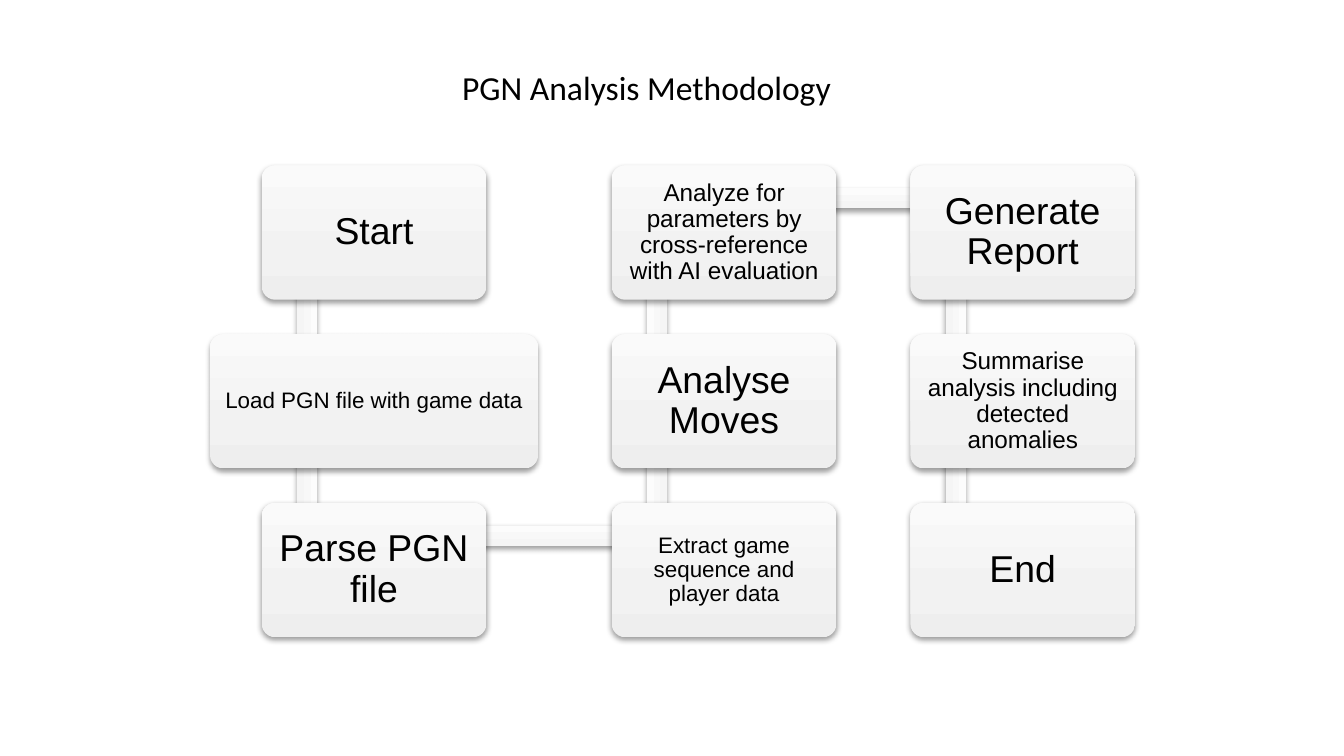
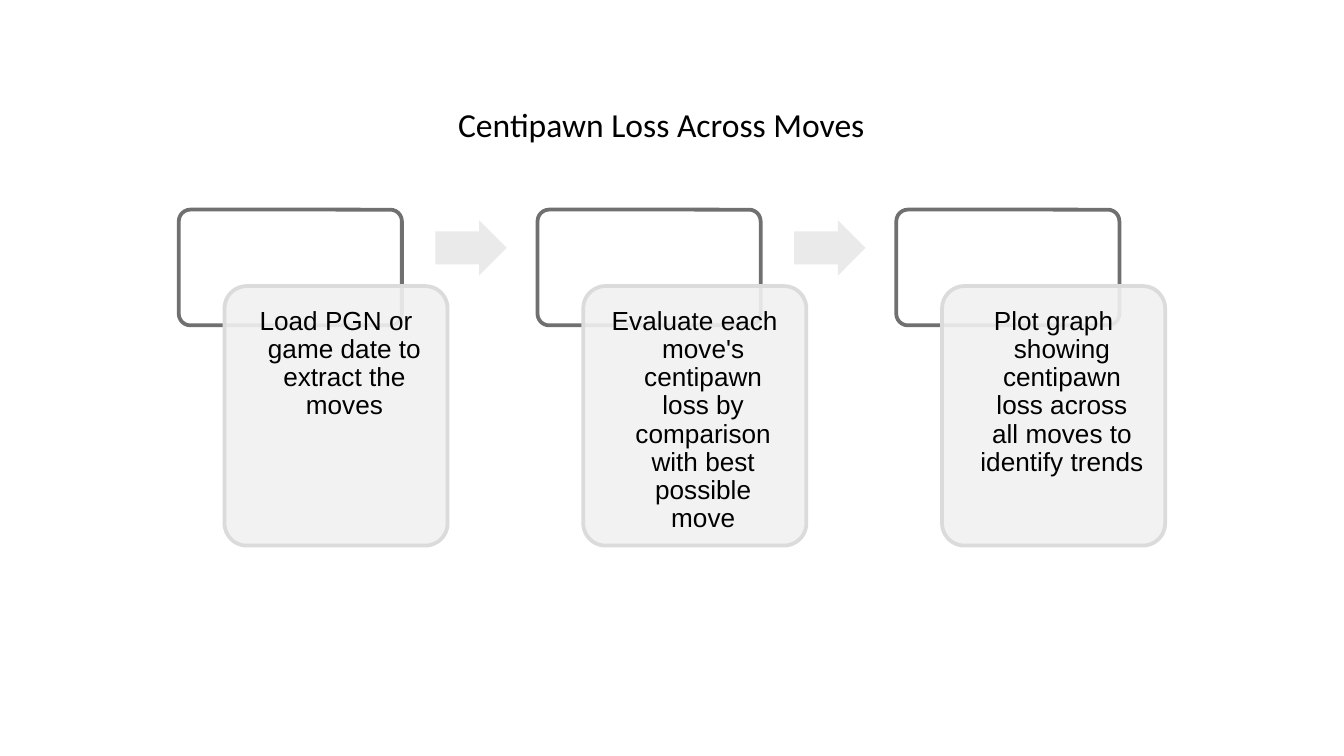
import math
from collections import namedtuple
from dataclasses import dataclass

from lxml import etree
from pptx import Presentation
from pptx.dml.color import RGBColor
from pptx.enum import shapes, text
from pptx.oxml import ns
from pptx.util import Pt

Box = namedtuple("Box", "left top width height")
Stage = namedtuple("Stage", "label size column row extra", defaults=(0,))


@dataclass(frozen=True)
class Theme:
    """Colours, fonts and type sizes shared by both slides."""
    ink: str = "000000"
    paper: str = "FFFFFF"
    frame: str = "707070"
    panel: str = "F1F1F1"
    panel_edge: str = "DBDBDB"
    arrow: str = "EAEAEA"
    stage: tuple = ("EEEEEE", "F2F2F2", "FAFAFA")
    bar: tuple = ("F5F5F5", "F8F8F8", "FCFCFC")
    stops: tuple = (0, 35, 100)
    title_font: str = "Calibri"
    body_font: str = "Arial"
    title: int = 18
    large: int = 20
    medium: int = 13
    small: int = 12
    detail: int = 14
    corner: float = 0.1
    edge: int = 2


THEME = Theme()
STAGES = (
    Stage("Start", THEME.large, 0, 0),
    Stage("Load PGN file with game data", THEME.small, 0, 1, 55.4),
    Stage("Parse PGN file", THEME.large, 0, 2),
    Stage("Extract game sequence and player data", THEME.small, 1, 2),
    Stage("Analyse Moves", THEME.large, 1, 1),
    Stage("Analyze for parameters by cross-reference with AI evaluation", THEME.medium, 1, 0),
    Stage("Generate Report", THEME.large, 2, 0),
    Stage("Summarise analysis including detected anomalies", THEME.medium, 2, 1),
    Stage("End", THEME.large, 2, 2),
)
STEPS = (
    "Load PGN or game date to extract the moves",
    "Evaluate each move's centipawn loss by comparison with best possible move",
    "Plot graph showing centipawn loss across all moves to identify trends",
)


def add_element(parent, tag, **attributes):
    """Append a DrawingML element with the given attributes."""
    child = etree.SubElement(parent, ns.qn(tag))
    for name, value in attributes.items():
        child.set(name, str(value))
    return child


def add_figure(page, preset, box, fill=None, edge=None):
    """Add a preset shape without shadow, with an optional fill and edge."""
    figure = page.shapes.add_shape(preset, *map(Pt, box))
    figure.shadow.inherit = False
    if fill:
        figure.fill.solid()
        figure.fill.fore_color.rgb = RGBColor.from_string(fill)
    if edge:
        figure.line.color.rgb = RGBColor.from_string(edge)
        figure.line.width = Pt(THEME.edge)
    else:
        figure.line.fill.background()
    return figure


def add_rounded(page, box, fill=None, edge=None):
    """Add a rounded rectangle with the shared corner."""
    figure = add_figure(page, shapes.MSO_SHAPE.ROUNDED_RECTANGLE, box, fill, edge)
    figure.adjustments[0] = THEME.corner
    return figure


def raise_figure(figure, colours):
    """Give a shape an upward gradient and a soft shadow."""
    figure.fill.gradient()
    figure.fill.gradient_angle = 90
    properties = figure.element.spPr
    stops = properties.find(".//" + ns.qn("a:gsLst"))
    for stop in list(stops):
        stops.remove(stop)
    for position, colour in zip(THEME.stops, colours):
        stop = add_element(stops, "a:gs", pos=position * 1000)
        add_element(stop, "a:srgbClr", val=colour)
    shadow = add_element(properties.find(ns.qn("a:effectLst")), "a:outerShdw",
                         blurRad=Pt(3.1), dist=Pt(1.6), dir=5400000, rotWithShape=0)
    colour = add_element(shadow, "a:srgbClr", val=THEME.ink)
    add_element(colour, "a:alpha", val=38000)


def write(frame, words, font, size):
    """Write one paragraph into a text frame and return it."""
    para = frame.paragraphs[0]
    span = para.add_run()
    span.text = words
    span.font.name = font
    span.font.size = Pt(size)
    span.font.color.rgb = RGBColor.from_string(THEME.ink)
    return para


def write_centred(figure, words, size, inset, anchor):
    """Write centred, tightly spaced body text inside a shape."""
    frame = figure.text_frame
    frame.word_wrap = True
    frame.vertical_anchor = anchor
    frame.margin_left = frame.margin_right = Pt(inset)
    frame.margin_top = frame.margin_bottom = Pt(inset)
    para = write(frame, words, THEME.body_font, size)
    para.alignment = text.PP_ALIGN.CENTER
    para.line_spacing = 0.9
    return para


def add_title(page, words, box):
    """Add the slide title in the given box."""
    frame = page.shapes.add_textbox(*map(Pt, box)).text_frame
    frame.word_wrap = True
    frame.auto_size = text.MSO_AUTO_SIZE.SHAPE_TO_FIT_TEXT
    write(frame, words, THEME.title_font, THEME.title)


def add_bar(page, start, end):
    """Join two points with a raised bar turned along their direction."""
    across, down = end[0] - start[0], end[1] - start[1]
    length, thick = math.hypot(across, down), 10.8
    middle_x, middle_y = (start[0] + end[0]) / 2, (start[1] + end[1]) / 2
    box = Box(middle_x - length / 2, middle_y - thick / 2, length, thick)
    bar = add_figure(page, shapes.MSO_SHAPE.RECTANGLE, box)
    bar.rotation = math.degrees(math.atan2(down, across)) % 360
    raise_figure(bar, THEME.bar)


def add_stage(page, stage, box):
    """Add one labelled stage, widened evenly on both sides when asked."""
    box = Box(box.left - stage.extra / 2, box.top, box.width + stage.extra, box.height)
    figure = add_rounded(page, box)
    raise_figure(figure, THEME.stage)
    write_centred(figure, stage.label, stage.size, 0.3 * stage.size, text.MSO_ANCHOR.MIDDLE)


def add_flow(page, stages, area):
    """Lay the stages on a snaking grid and join each to the next."""
    columns, pitch = (0, 187.5, 347.5), 90.4
    width, height = area.width - columns[-1], area.height - 2 * pitch
    boxes = [Box(area.left + columns[stage.column], area.top + stage.row * pitch, width, height)
             for stage in stages]
    joints = [(box.left + 24.3, box.top + 17.7) for box in boxes]
    for index, (stage, box) in enumerate(zip(stages, boxes)):
        if index + 1 < len(stages):
            add_bar(page, joints[index], joints[index + 1])
        add_stage(page, stage, box)


def add_step(page, words, box):
    """Add an empty frame with an overlapping panel that holds the step."""
    width = box.width - 24.5
    add_rounded(page, Box(box.left, box.top, width, 62), THEME.paper, THEME.frame)
    panel = add_rounded(page, Box(box.left + 24.5, box.top + 41, width, box.height - 41),
                        THEME.panel, THEME.panel_edge)
    colour = panel.element.spPr.find(ns.qn("a:solidFill"))[0]
    add_element(colour, "a:alpha", val=90000)
    para = write_centred(panel, words, THEME.detail, 8, text.MSO_ANCHOR.TOP)
    para.level = 1
    properties = para._p.get_or_add_pPr()
    properties.set("marL", str(Pt(9)))
    properties.set("indent", str(-Pt(9)))


def add_process(page, steps, area):
    """Place the steps at an equal pitch with arrows between them."""
    width = 144
    pitch = (area.width - width) / (len(steps) - 1)
    for index, words in enumerate(steps):
        left = area.left + index * pitch
        add_step(page, words, Box(left, area.top, width, area.height))
        if index + 1 < len(steps):
            arrow = add_figure(page, shapes.MSO_SHAPE.RIGHT_ARROW,
                               Box(left + 137.5, area.top + 5.8, 38.2, 29.5), THEME.arrow)
            arrow.adjustments[0] = 0.6
            arrow.adjustments[1] = 0.5


def main():
    """Build the two slides and save the deck."""
    deck = Presentation()
    deck.slide_width, deck.slide_height = Pt(720), Pt(405)
    blank = deck.slide_layouts[6]

    page = deck.slides.add_slide(blank)
    add_flow(page, STAGES, Box(140.2, 88.6, 467.9, 252.8))
    add_title(page, "PGN Analysis Methodology", Box(240.5, 32.4, 275, 29))

    page = deck.slides.add_slide(blank)
    add_process(page, STEPS, Box(95.8, 112.3, 528.4, 180))
    add_title(page, "Centipawn Loss Across Moves", Box(238.3, 52, 289.4, 29))

    deck.save("out.pptx")


if __name__ == "__main__":
    main()
